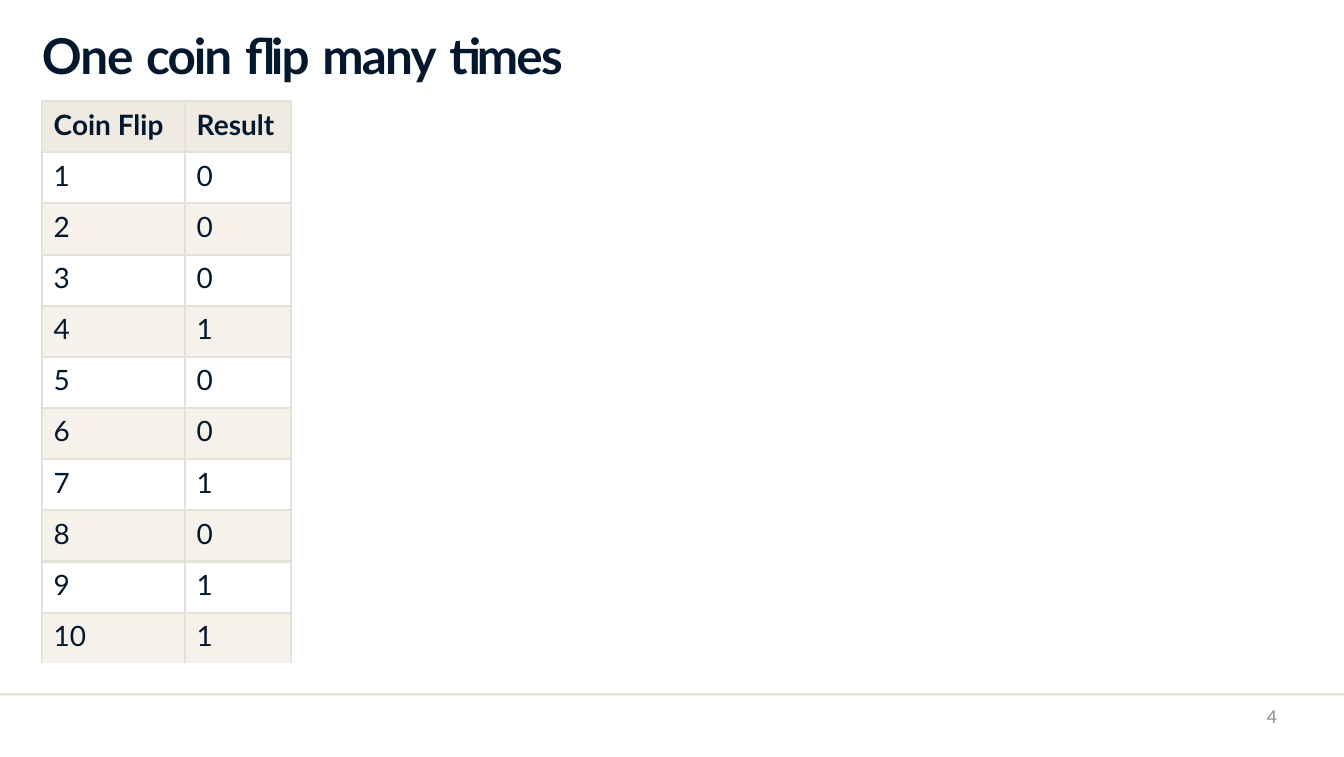
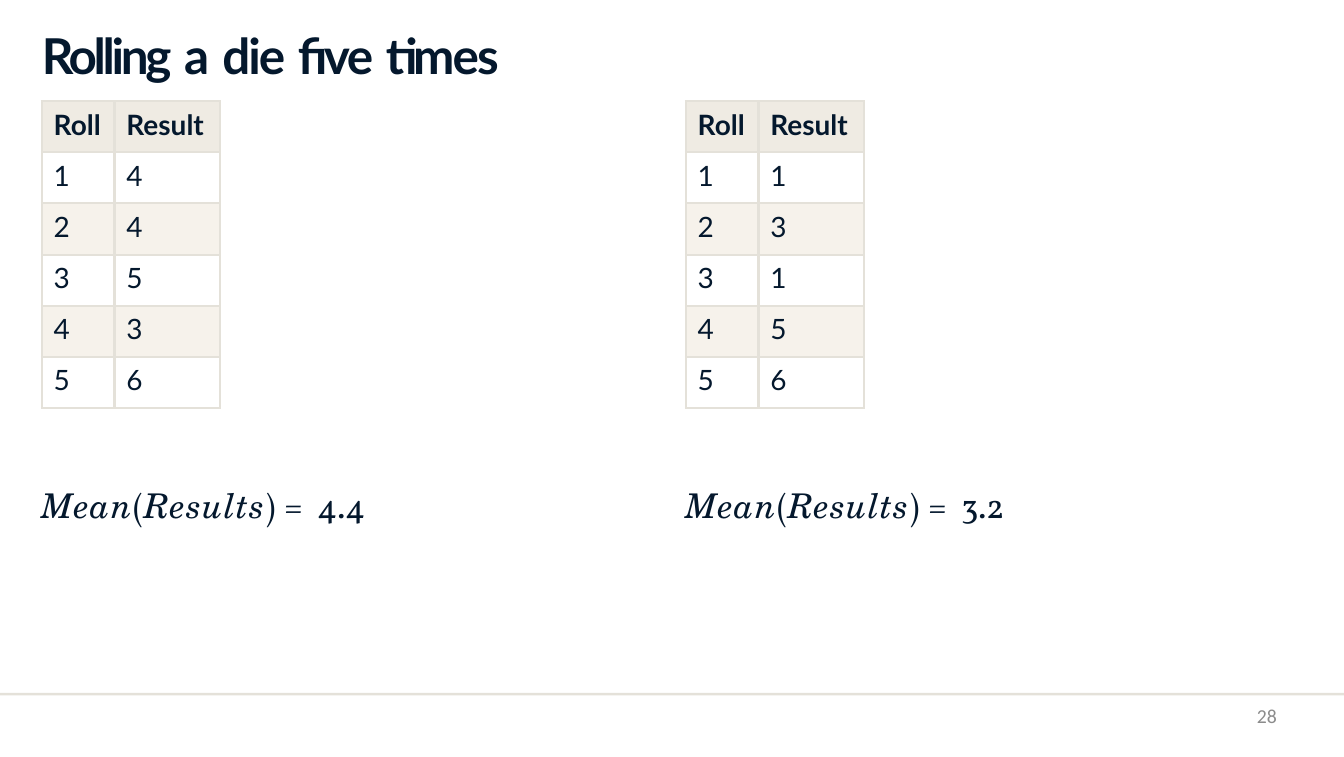
import pptx
import pptx.dml.color
import pptx.enum.shapes
import pptx.enum.text
import pptx.util
from lxml import etree
import pptx.oxml.ns

Inches = pptx.util.Inches
Pt = pptx.util.Pt
RGBColor = pptx.dml.color.RGBColor
qn = pptx.oxml.ns.qn

NAVY = RGBColor(0x04, 0x18, 0x2D)
GRAY = RGBColor(0x8C, 0x8C, 0x8C)
RULE = RGBColor(0xE4, 0xE1, 0xD9)
HEADER = RGBColor(0xEF, 0xEB, 0xE3)
BAND = RGBColor(0xF6, 0xF2, 0xEB)
WHITE = RGBColor(0xFF, 0xFF, 0xFF)

WIDTH, HEIGHT = 17.01, 9.58
ROW = 7.12 / 11  # eleven rows fill the body
LEFT, RIGHT = 0.53, 8.68


def add_run(p, text, size=25.5, font="Lato", color=NAVY, bold=False,
            italic=False, spacing=0):
    r = p.add_run()
    r.text = text
    r.font.size = Pt(size)
    r.font.name = font
    r.font.color.rgb = color
    r.font.bold = bold
    r.font.italic = italic
    if spacing:
        r.font._element.set("spc", str(round(spacing * 100)))


def add_border(cell, sides):
    tcPr = cell._tc.get_or_add_tcPr()
    for side in sides:
        ln = etree.SubElement(tcPr, qn(f"a:ln{side}"), w=str(Pt(2.25)))
        fill = etree.SubElement(ln, qn("a:solidFill"))
        etree.SubElement(fill, qn("a:srgbClr"), val=str(RULE))


class Deck:
    def __init__(self):
        self.prs = pptx.Presentation()
        self.prs.slide_width = Inches(WIDTH)
        self.prs.slide_height = Inches(HEIGHT)
        self.s = None

    def slide(self, number, title):
        self.s = self.prs.slides.add_slide(self.prs.slide_layouts[6])
        # Footer rule
        sp = self.s.shapes.add_shape(
            pptx.enum.shapes.MSO_SHAPE.RECTANGLE,
            0, Inches(8.77), Inches(WIDTH), Inches(0.03))
        sp.shadow.inherit = False
        sp.fill.solid()
        sp.fill.fore_color.rgb = RULE
        sp.line.fill.background()
        # Title: tight words, looser spaces
        p = self.text(LEFT, 0.3, 7.26, 0.78, top=0.02)
        for i, (word, spacing) in enumerate(title):
            if i:
                add_run(p, " ", size=45, bold=True, spacing=0.6)
            add_run(p, word, size=45, bold=True, spacing=spacing)
        # Slide number
        p = self.text(12.25, 8.91, 3.91, 0.48)
        p.alignment = pptx.enum.text.PP_ALIGN.RIGHT
        add_run(p, str(number), size=18, font="Calibri", color=GRAY)

    def text(self, x, y, w, h, top=0):
        sp = self.s.shapes.add_textbox(Inches(x), Inches(y), Inches(w), Inches(h))
        tf = sp.text_frame
        tf.word_wrap = True
        tf.margin_left = tf.margin_right = tf.margin_bottom = 0
        tf.margin_top = Inches(top)
        return tf.paragraphs[0]

    def table(self, x, widths, header, results, open_end=False):
        rows = [header, *enumerate(results, 1)]
        table = self.s.shapes.add_table(
            len(rows), len(widths), Inches(x), Inches(1.28),
            Inches(sum(widths)), Inches(ROW * len(rows))).table
        table.first_row = table.horz_banding = False
        for column, width in zip(table.columns, widths):
            column.width = Inches(width)
        for i, row in enumerate(rows):
            last = i == len(rows) - 1
            fill = HEADER if i == 0 else WHITE if i % 2 else BAND
            for j, value in enumerate(row):
                cell = table.cell(i, j)
                cell.margin_left = Inches(0.15)
                cell.margin_top = Inches(0.08)
                cell.margin_right = cell.margin_bottom = 0
                add_border(cell, "LRT" if last and open_end else "LRTB")
                cell.fill.solid()
                cell.fill.fore_color.rgb = fill
                add_run(cell.text_frame.paragraphs[0], str(value), bold=i == 0)

    def mean(self, x, value):
        p = self.text(x, 6.11, 5, 0.55, top=0.02)
        for text, italic, spacing in (
                ("Mean", True, 0.9), ("(", False, 0.9), ("Results", True, 0.9),
                (") ", False, 0.9), ("= ", False, 3.4), (value, False, -0.2)):
            add_run(p, text, size=31, italic=italic, spacing=spacing,
                    font="TeX Gyre Schola" if italic else "Vollkorn")


def main():
    deck = Deck()

    # Coin flips
    deck.slide(4, [("One", -0.9), ("coin", -1.8), ("flip", -1.8),
                   ("many", -1.6), ("times", -1.6)])
    deck.table(LEFT, [1.81, 1.34], ("Coin Flip", "Result"),
               [0, 0, 0, 1, 0, 0, 1, 0, 1, 1], open_end=True)

    # Two series of die rolls
    deck.slide(28, [("Rolling", -3), ("a", 0.5), ("die", -1.9),
                    ("five", -2), ("times", -1.7)])
    for x, rolls in ((LEFT, [4, 4, 5, 3, 6]), (RIGHT, [1, 3, 1, 5, 6])):
        deck.table(x, [0.92, 1.34], ("Roll", "Result"), rolls)
        deck.mean(x, f"{sum(rolls) / len(rolls):.1f}")

    deck.prs.save("out.pptx")


if __name__ == "__main__":
    main()
